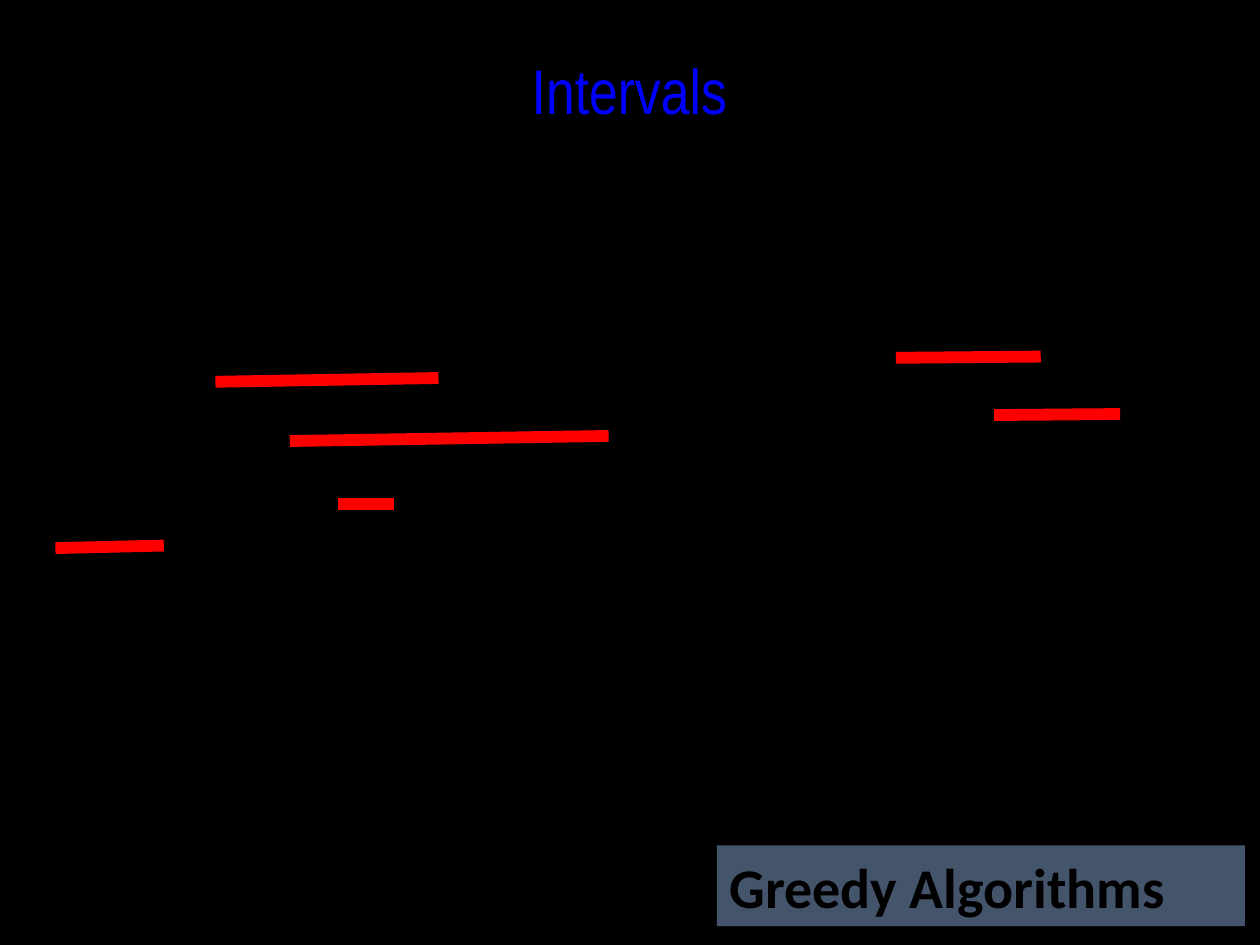
from dataclasses import dataclass

import pptx
import pptx.dml.color
import pptx.enum.shapes
import pptx.enum.text
import pptx.oxml
import pptx.oxml.ns
import pptx.util
from lxml import etree

Pt = pptx.util.Pt
COLORS = {
    "back": "000000",
    "text": "000000",
    "title": "0000FF",
    "edge": "FFFF00",
    "bar": "FF0000",
    "label": "44546A",
}
BAR_WIDTH = 6.75


@dataclass
class Span:
    """An interval's end points, in points."""
    left: float
    start: float
    right: float
    end: float


SPANS = [
    Span(123.12, 218.16, 250.56, 216),
    Span(165.6, 252, 347.76, 249.12),
    Span(192.96, 288, 225.36, 288),
    Span(568.08, 237.2, 640.08, 236.6),
    Span(511.92, 204.48, 594.72, 203.76),
    Span(31.68, 313.2, 93.6, 311.76),
]


def color(name: str) -> pptx.dml.color.RGBColor:
    return pptx.dml.color.RGBColor.from_string(COLORS[name])


def place(shape, left: float, top: float, width: float, height: float) -> None:
    shape.left, shape.top = Pt(left), Pt(top)
    shape.width, shape.height = Pt(width), Pt(height)


def write(shape, text: str, face: str, size: float, tint: str,
          align, bold: bool = False) -> None:
    para = shape.text_frame.paragraphs[0]
    para.text = text
    para.alignment = align
    font = para.font
    font.name, font.size, font.bold = face, Pt(size), bold
    font.color.rgb = color(tint)


def outline(run, tint: str, width: float) -> None:
    """Give the letters of a run a coloured edge."""
    name = pptx.oxml.ns.qn
    line = etree.Element(name("a:ln"), w=str(int(Pt(width))))
    fill = etree.SubElement(line, name("a:solidFill"))
    etree.SubElement(fill, name("a:srgbClr"), val=COLORS[tint])
    run._r.get_or_add_rPr().insert(0, line)


def add_label(slide) -> None:
    kind = pptx.enum.shapes.MSO_SHAPE.RECTANGLE
    label = slide.shapes.add_shape(kind, 0, 0, 0, 0)
    place(label, 409.68, 483.12, 301.68, 46.08)
    label.shadow.inherit = False
    label.fill.solid()
    label.fill.fore_color.rgb = color("label")
    label.line.fill.background()
    write(label, "Greedy Algorithms", "Calibri", 32, "text",
          pptx.enum.text.PP_ALIGN.LEFT, bold=True)


def add_title(slide) -> None:
    title = slide.shapes.title
    place(title, 113.76, 25.92, 491.76, 66.24)
    frame = title.text_frame
    frame.word_wrap = False
    frame.auto_size = pptx.enum.text.MSO_AUTO_SIZE.NONE
    frame.vertical_anchor = pptx.enum.text.MSO_ANCHOR.TOP
    write(title, "Intervals", "Arial Narrow", 36, "title",
          pptx.enum.text.PP_ALIGN.CENTER)
    outline(frame.paragraphs[0].runs[0], "edge", 0.75)


def add_span(slide, span: Span) -> None:
    kind = pptx.enum.shapes.MSO_CONNECTOR.STRAIGHT
    bar = slide.shapes.add_connector(
        kind, Pt(span.left), Pt(span.start), Pt(span.right), Pt(span.end))
    bar.line.color.rgb = color("bar")
    bar.line.width = Pt(BAR_WIDTH)
    etree.SubElement(bar._element.spPr, pptx.oxml.ns.qn("a:effectLst"))


def main() -> None:
    deck = pptx.Presentation()
    deck.slide_width, deck.slide_height = Pt(720), Pt(540)
    slide = deck.slides.add_slide(deck.slide_layouts.get_by_name("Title Only"))
    back = slide.background.fill
    back.solid()
    back.fore_color.rgb = color("back")
    add_label(slide)
    add_title(slide)
    for span in SPANS:
        add_span(slide, span)
    deck.save("out.pptx")


if __name__ == "__main__":
    main()
